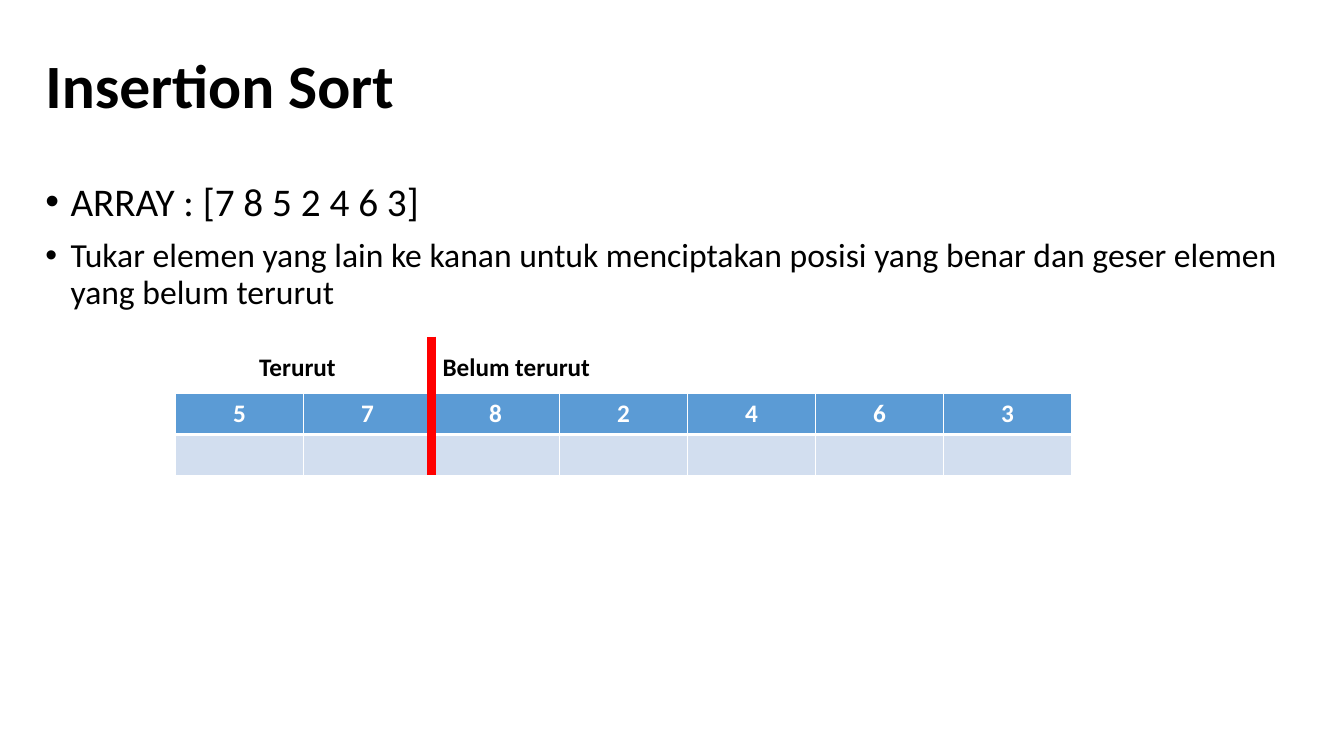
from dataclasses import dataclass

from lxml.etree import SubElement
from pptx import Presentation
from pptx.dml.color import RGBColor
from pptx.enum.shapes import MSO_CONNECTOR
from pptx.enum.text import MSO_ANCHOR, MSO_AUTO_SIZE, PP_ALIGN
from pptx.oxml.ns import qn
from pptx.util import Pt

PX = 9144


@dataclass(frozen=True)
class Theme:
    face: str = "Calibri"
    ink: str = "000000"
    paper: str = "FFFFFF"
    header: str = "5B9BD5"
    band: str = "D2DEEF"
    divider: str = "FF0000"
    title: int = 44
    array: int = 28
    step: int = 24
    cell: int = 18


THEME = Theme()
HEADING = "Insertion Sort"
BULLETS = [
    ("ARRAY : [7 8 5 2 4 6 3]", 0, THEME.array),
    ("Tukar elemen yang lain ke kanan untuk menciptakan posisi yang benar "
     "dan geser elemen yang belum terurut", 1, THEME.step),
]
PARTS = ["Terurut", "Belum terurut"]
NUMBERS = ["5", "7", "8", "2", "4", "6", "3"]
SORTED_COUNT = 2

SLIDE_SIZE = (1333, 750)
TITLE_BOX = (35, 15, 1098, 145)
BODY_BOX = (35, 176, 1266, 505)
INDENT = 25
ARRAY_LEFT, ARRAY_TOP = 174, 390
CELL_WIDTH, ROW_HEIGHT = 127, 41
PARTS_LEFT, PARTS_TOP, PART_WIDTH = 247, 345, 182
DIVIDER_TOP, DIVIDER_BOTTOM = 334, 471


def emu(*lengths):
    return [round(length * PX) for length in lengths]


def style(paragraph, size, color, bold=False):
    font = paragraph.font
    font.name, font.size, font.bold = THEME.face, Pt(size), bold
    font.color.rgb = RGBColor.from_string(color)


def place(holder, box):
    holder.left, holder.top, holder.width, holder.height = emu(*box)
    holder.text_frame.auto_size = MSO_AUTO_SIZE.NONE
    return holder.text_frame


def add_bullet(paragraph):
    properties = paragraph._p.get_or_add_pPr()
    indent, = emu(INDENT)
    properties.set("marL", str(indent))
    properties.set("indent", str(-indent))
    SubElement(properties, qn("a:buFont"), typeface="Arial")
    SubElement(properties, qn("a:buChar"), char="•")


def add_borders(cell, top, bottom):
    properties = cell._tc.get_or_add_tcPr()
    for side, width in (("L", 1), ("R", 1), ("T", top), ("B", bottom)):
        border = SubElement(properties, qn(f"a:ln{side}"), w=str(Pt(width)))
        fill = SubElement(border, qn("a:solidFill"))
        SubElement(fill, qn("a:srgbClr"), val=THEME.paper)


def add_grid(slide, rows, columns, left, top, cell_width):
    box = emu(left, top, columns * cell_width, rows * ROW_HEIGHT)
    table = slide.shapes.add_table(rows, columns, *box).table
    table.first_row = table.horz_banding = False
    return table


def add_text(slide):
    title = place(slide.shapes.title, TITLE_BOX)
    title.text = HEADING
    title.vertical_anchor = MSO_ANCHOR.MIDDLE
    title.paragraphs[0].alignment = PP_ALIGN.LEFT
    title.paragraphs[0].line_spacing = 0.9
    style(title.paragraphs[0], THEME.title, THEME.ink, True)

    body = place(slide.placeholders[1], BODY_BOX)
    body.text = "\n".join(text for text, _, _ in BULLETS)
    for paragraph, (_, level, size) in zip(body.paragraphs, BULLETS):
        paragraph.level = level
        paragraph.line_spacing = 0.9
        paragraph.space_before = Pt(10)
        add_bullet(paragraph)
        style(paragraph, size, THEME.ink)


def add_array(slide):
    rows = [(NUMBERS, THEME.header, 1, 3), ([""] * len(NUMBERS), THEME.band, 3, 1)]
    array = add_grid(slide, len(rows), len(NUMBERS), ARRAY_LEFT, ARRAY_TOP, CELL_WIDTH)
    for row, (values, color, top, bottom) in enumerate(rows):
        for column, value in enumerate(values):
            cell = array.cell(row, column)
            cell.text = value
            add_borders(cell, top, bottom)
            cell.fill.solid()
            cell.fill.fore_color.rgb = RGBColor.from_string(color)
            paragraph = cell.text_frame.paragraphs[0]
            paragraph.alignment = PP_ALIGN.CENTER
            style(paragraph, THEME.cell, THEME.paper, True)


def add_parts(slide):
    labels = add_grid(slide, 1, len(PARTS), PARTS_LEFT, PARTS_TOP, PART_WIDTH)
    for column, part in enumerate(PARTS):
        cell = labels.cell(0, column)
        cell.text = part
        cell.fill.background()
        style(cell.text_frame.paragraphs[0], THEME.cell, THEME.ink, True)


def add_divider(slide):
    x = ARRAY_LEFT + SORTED_COUNT * CELL_WIDTH
    ends = emu(x, DIVIDER_TOP, x, DIVIDER_BOTTOM)
    divider = slide.shapes.add_connector(MSO_CONNECTOR.STRAIGHT, *ends)
    divider.line.width = Pt(6)
    divider.line.color.rgb = RGBColor.from_string(THEME.divider)
    SubElement(divider._element.spPr, qn("a:effectLst"))


def main():
    deck = Presentation()
    deck.slide_width, deck.slide_height = emu(*SLIDE_SIZE)
    slide = deck.slides.add_slide(deck.slide_layouts[1])
    add_text(slide)
    add_array(slide)
    add_parts(slide)
    add_divider(slide)
    deck.save("out.pptx")


if __name__ == "__main__":
    main()
